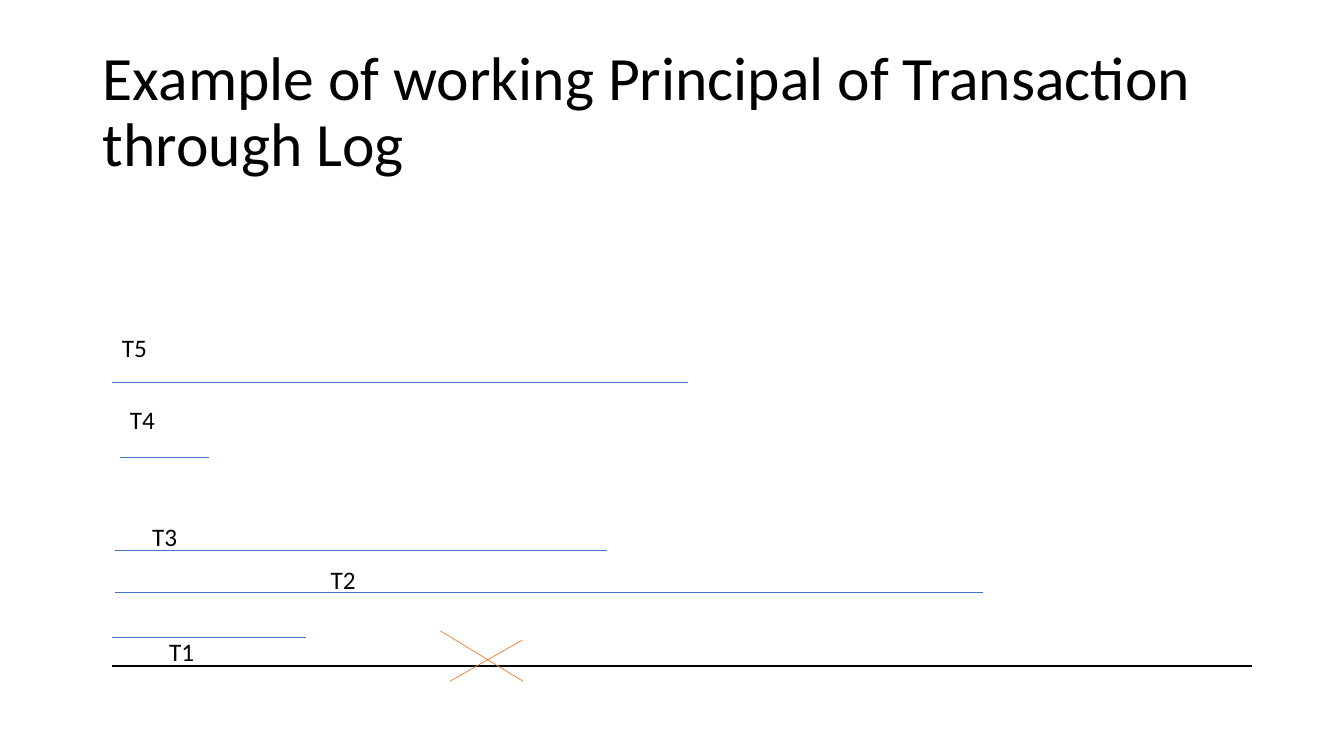
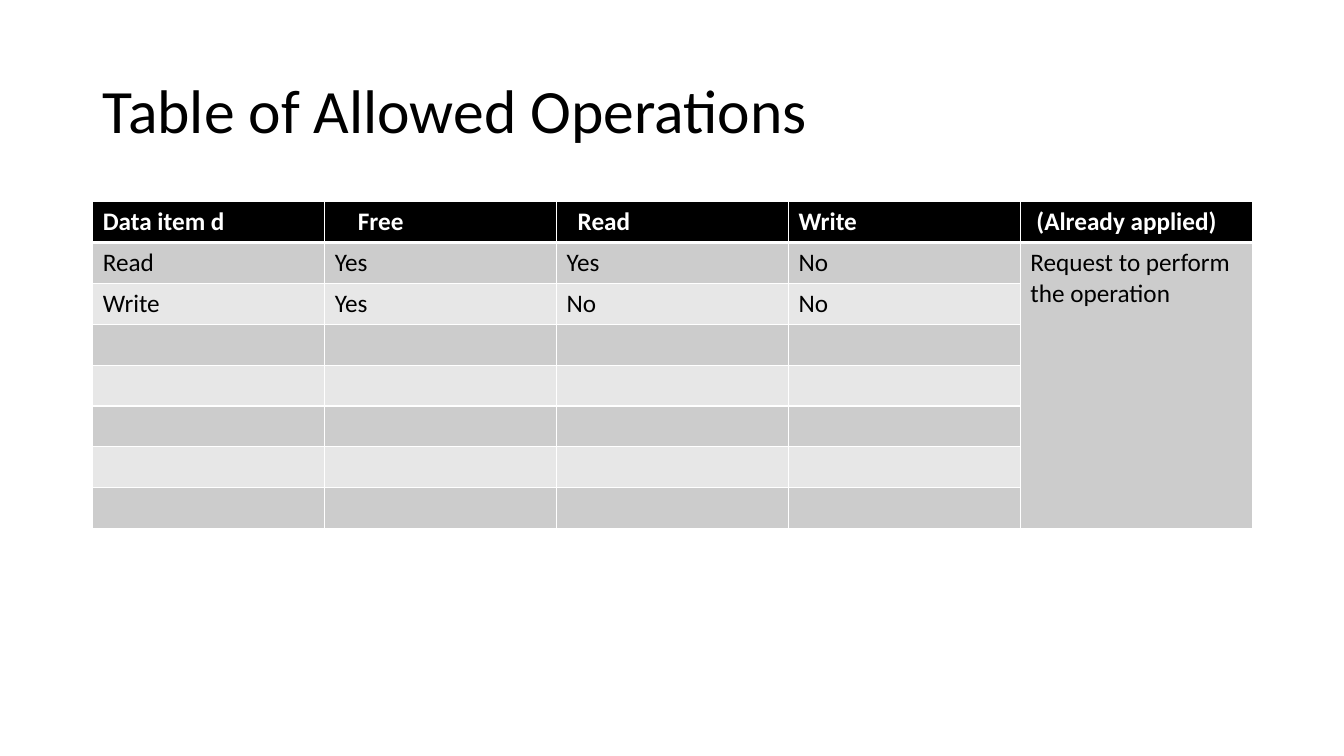
from dataclasses import dataclass

from lxml.etree import SubElement
from pptx import Presentation
from pptx.dml.color import RGBColor
from pptx.enum.shapes import MSO_CONNECTOR
from pptx.enum.text import MSO_ANCHOR, MSO_AUTO_SIZE, PP_ALIGN
from pptx.oxml import parse_xml
from pptx.oxml.ns import nsdecls, qn
from pptx.presentation import Presentation as Deck
from pptx.slide import Slide
from pptx.table import _Cell
from pptx.text.text import _Paragraph
from pptx.util import Inches, Pt

# Shared style
FONT = "Calibri"
BLACK, WHITE = "000000", "FFFFFF"
BLUE, ORANGE = "4472C4", "ED7D31"
BANDS = ("CCCCCC", "E7E7E7")
LEFT, CONTENT_WIDTH = 0.92, 11.5
CELL_MARGIN = 0.1
TITLE_ONLY = 5


@dataclass(frozen=True)
class Stroke:
    x1: float
    y1: float
    x2: float
    y2: float
    color: str = BLUE
    weight: float = 0.5


@dataclass(frozen=True)
class Label:
    text: str
    x: float
    y: float


@dataclass(frozen=True)
class Heading:
    text: str
    indent: float = 0


TIME_AXIS = Stroke(1.11, 6.61, 12.42, 6.61, BLACK, 1.5)
TRANSACTIONS = (
    Stroke(1.11, 6.32, 3.04, 6.32),
    Stroke(1.14, 5.88, 9.75, 5.88),
    Stroke(1.14, 5.46, 6.02, 5.46),
    Stroke(1.19, 4.54, 2.07, 4.54),
    Stroke(1.11, 3.79, 6.82, 3.79),
)
CRASH_MARK = (
    Stroke(5.18, 6.35, 4.46, 6.76, ORANGE),
    Stroke(4.37, 6.26, 5.19, 6.76, ORANGE),
)
TRANSACTION_LABELS = (
    Label("T1", 1.58, 6.26),
    Label("T2", 3.18, 5.55),
    Label("T3", 1.41, 5.12),
    Label("T4", 1.19, 3.96),
    Label("T5", 1.11, 3.25),
)

HEADINGS = (
    Heading("Data item d"),
    Heading("Free", 0.23),
    Heading("Read", 0.11),
    Heading("Write"),
    Heading("(Already applied)", 0.06),
)
OPERATIONS = (
    ("Read", "Yes", "Yes", "No", "Request to perform the operation"),
    ("Write", "Yes", "No", "No"),
)
TABLE_ROWS = 8


def rgb(color: str) -> RGBColor:
    return RGBColor.from_string(color)


def style(paragraph: _Paragraph, size: float, color: str = BLACK, bold: bool = False) -> None:
    font = paragraph.font
    font.name, font.size, font.bold = FONT, Pt(size), bold
    font.color.rgb = rgb(color)


def add_titled_slide(deck: Deck, text: str) -> Slide:
    slide = deck.slides.add_slide(deck.slide_layouts[TITLE_ONLY])
    title = slide.shapes.title
    title.left, title.top = Inches(LEFT), Inches(0.4)
    title.width, title.height = Inches(CONTENT_WIDTH), Inches(1.45)
    frame = title.text_frame
    frame.text = text
    frame.word_wrap = True
    frame.auto_size = MSO_AUTO_SIZE.NONE
    frame.vertical_anchor = MSO_ANCHOR.MIDDLE
    paragraph = frame.paragraphs[0]
    paragraph.alignment = PP_ALIGN.LEFT
    paragraph.line_spacing = 0.9
    style(paragraph, 44)
    return slide


def draw_stroke(slide: Slide, stroke: Stroke) -> None:
    line = slide.shapes.add_connector(
        MSO_CONNECTOR.STRAIGHT,
        Inches(stroke.x1), Inches(stroke.y1), Inches(stroke.x2), Inches(stroke.y2),
    )
    line.line.color.rgb = rgb(stroke.color)
    line.line.width = Pt(stroke.weight)
    SubElement(line._element.spPr, qn("a:effectLst"))


def draw_label(slide: Slide, label: Label) -> None:
    box = slide.shapes.add_textbox(Inches(label.x), Inches(label.y), Inches(0.45), Inches(0.4))
    frame = box.text_frame
    frame.word_wrap = False
    frame.auto_size = MSO_AUTO_SIZE.SHAPE_TO_FIT_TEXT
    frame.text = label.text
    style(frame.paragraphs[0], 18)


def set_borders(cell: _Cell, top: float = 1, bottom: float = 1) -> None:
    # Border elements come before the fill
    widths = {"lnL": 1, "lnR": 1, "lnT": top, "lnB": bottom}
    properties = cell._tc.get_or_add_tcPr()
    for position, (side, width) in enumerate(widths.items()):
        properties.insert(position, parse_xml(
            f'<a:{side} {nsdecls("a")} w="{int(Pt(width))}"><a:solidFill>'
            f'<a:srgbClr val="{WHITE}"/></a:solidFill></a:{side}>'
        ))


def fill_cell(cell: _Cell, text: str, fill: str, color: str = BLACK,
              bold: bool = False, indent: float = 0) -> None:
    cell.text = text
    cell.margin_left = Inches(CELL_MARGIN + indent)
    cell.fill.solid()
    cell.fill.fore_color.rgb = rgb(fill)
    style(cell.text_frame.paragraphs[0], 18, color, bold)


def build_log_slide(deck: Deck) -> None:
    slide = add_titled_slide(deck, "Example of working Principal of Transaction through Log")
    for stroke in (TIME_AXIS, *TRANSACTIONS, *CRASH_MARK):
        draw_stroke(slide, stroke)
    for label in TRANSACTION_LABELS:
        draw_label(slide, label)


def build_operations_slide(deck: Deck) -> None:
    slide = add_titled_slide(deck, "Table of Allowed Operations")
    last_column = len(HEADINGS) - 1
    table = slide.shapes.add_table(
        TABLE_ROWS, len(HEADINGS),
        Inches(LEFT), Inches(2), Inches(CONTENT_WIDTH), Inches(3.24),
    ).table

    # Header row
    for column, heading in enumerate(HEADINGS):
        cell = table.cell(0, column)
        fill_cell(cell, heading.text, BLACK, WHITE, True, heading.indent)
        set_borders(cell, bottom=3)

    # Banded rows, with empty ones below the operations
    for row in range(1, TABLE_ROWS):
        values = OPERATIONS[row - 1] if row <= len(OPERATIONS) else ()
        for column in range(len(HEADINGS)):
            cell = table.cell(row, column)
            text = values[column] if column < len(values) else ""
            band = BANDS[0] if column == last_column else BANDS[(row - 1) % 2]
            fill_cell(cell, text, band)
            set_borders(cell, top=3 if row == 1 else 1)
    table.cell(1, last_column).merge(table.cell(TABLE_ROWS - 1, last_column))


def main() -> None:
    deck = Presentation()
    deck.slide_width, deck.slide_height = Inches(13.33), Inches(7.5)
    build_log_slide(deck)
    build_operations_slide(deck)
    deck.save("out.pptx")


if __name__ == "__main__":
    main()
